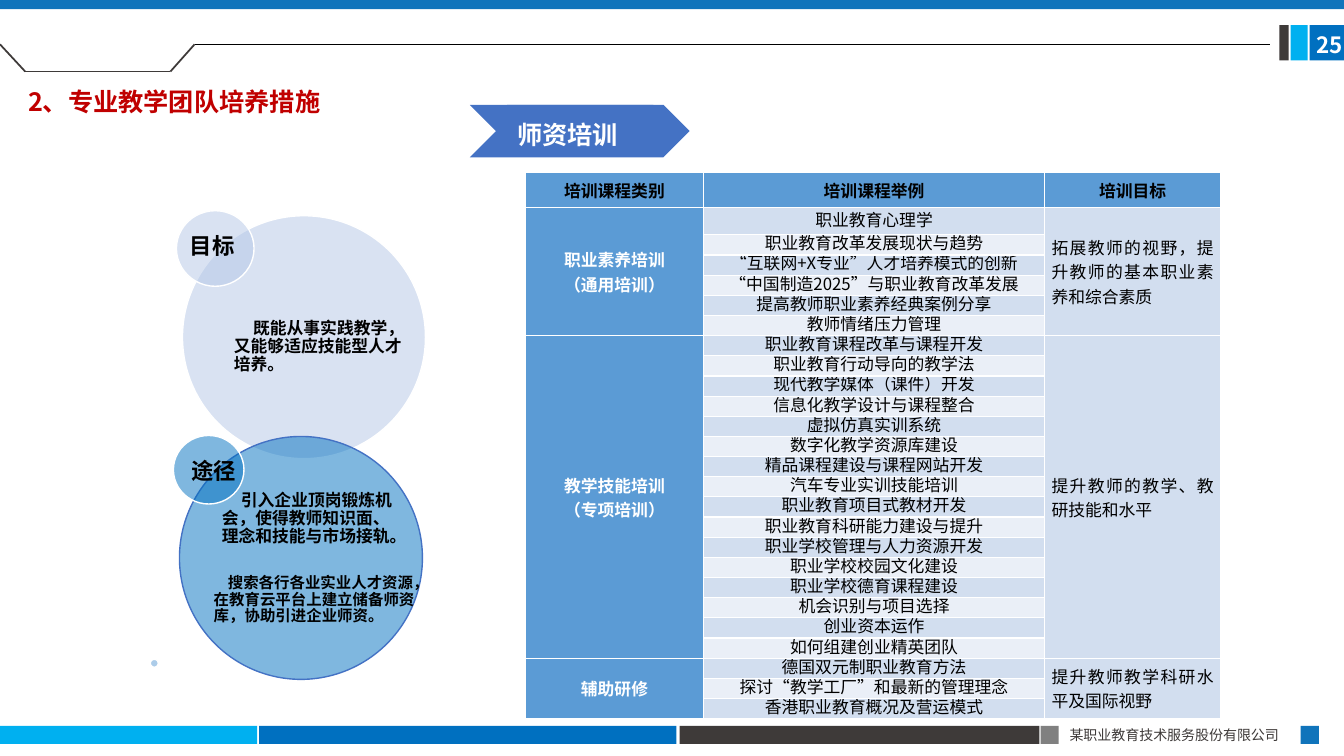
from lxml.etree import SubElement
from pptx import Presentation
from pptx.dml.color import RGBColor
from pptx.enum.shapes import MSO_CONNECTOR, MSO_SHAPE
from pptx.enum.text import MSO_ANCHOR, PP_ALIGN
from pptx.oxml.ns import qn
from pptx.util import Inches, Pt

FONT = "Noto Sans CJK SC"
COLORS = {
    "white": "FFFFFF", "black": "000000", "charcoal": "3E3A39", "gray": "808080",
    "sky": "00B0F0", "blue": "0070C0", "brand": "1074BB", "royal": "4472C4",
    "lavender": "B4C7E7", "header": "5B9BD5", "band": "D2DEEF", "light_band": "EAEFF7",
    "red": "C00000",
}


def add_filled_shape(kind, box, fill, line=None, alpha=None):
    shape = slide.shapes.add_shape(kind, *map(Inches, box))
    shape.shadow.inherit = False
    shape.fill.solid()
    shape.fill.fore_color.rgb = RGBColor.from_string(COLORS[fill])
    if alpha:
        color = shape.fill._xPr.find(qn("a:solidFill"))[0]
        SubElement(color, qn("a:alpha"), val=str(alpha * 1000))
    if line:
        shape.line.color.rgb = RGBColor.from_string(COLORS[line])
        shape.line.width = Pt(1)
    else:
        shape.line.fill.background()
    return shape


def write_text(frame, text, size, color, bold=True, align=PP_ALIGN.LEFT, spacing=None, indent=0):
    for number, line in enumerate(text.split("\n")):
        paragraph = frame.add_paragraph() if number else frame.paragraphs[0]
        paragraph.alignment = align
        if spacing:
            paragraph.line_spacing = spacing
        if indent:
            properties = paragraph._p.get_or_add_pPr()
            properties.set("marL", "0")
            properties.set("indent", str(Inches(indent)))
        run = paragraph.add_run()
        run.text = line
        for name, value in {"size": Pt(size), "bold": bold, "name": FONT}.items():
            setattr(run.font, name, value)
        run.font.color.rgb = RGBColor.from_string(COLORS[color])
        SubElement(run._r.get_or_add_rPr(), qn("a:ea"), typeface=FONT)


presentation = Presentation()
presentation.slide_width = Inches(13.33)
presentation.slide_height = Inches(7.5)
slide = presentation.slides.add_slide(presentation.slide_layouts[6])

# Footer, page-number and top bars
bars = [
    ((0, 7.2, 2.55, 0.18), "sky"),
    ((2.57, 7.2, 4.14, 0.18), "blue"),
    ((6.74, 7.2, 3.57, 0.18), "charcoal"),
    ((10.32, 7.2, 0.18, 0.18), "gray"),
    ((12.9, 7.2, 0.18, 0.18), "brand"),
    ((12.99, 0.25, 0.35, 0.35), "blue"),
    ((12.8, 0.25, 0.17, 0.35), "sky"),
    ((12.69, 0.25, 0.09, 0.35), "charcoal"),
    ((0, 0, 13.33, 0.09), "brand"),
]
for box, fill in bars:
    add_filled_shape(MSO_SHAPE.RECTANGLE, box, fill)

# Header outline
outline_points = [(0, 0.44), (0.25, 0.71), (1.69, 0.71), (1.93, 0.44), (12.6, 0.44)]
outline_styles = [("charcoal", 1.25)] * 3 + [("black", 0.5)]
for start, end, (color, width) in zip(outline_points, outline_points[1:], outline_styles):
    connector = slide.shapes.add_connector(MSO_CONNECTOR.STRAIGHT, *map(Inches, start + end))
    connector.line.color.rgb = RGBColor.from_string(COLORS[color])
    connector.line.width = Pt(width)
    SubElement(connector._element.spPr, qn("a:effectLst"))

# Training table
headings = ["培训课程类别", "培训课程举例", "培训目标"]
sections = [
    ("职业素养培训\n（通用培训）", "拓展教师的视野，提升教师的基本职业素养和综合素质", [
        "职业教育心理学", "职业教育改革发展现状与趋势",
        "“互联网+X专业”人才培养模式的创新", "“中国制造2025”与职业教育改革发展",
        "提高教师职业素养经典案例分享", "教师情绪压力管理"]),
    ("教学技能培训\n（专项培训）", "提升教师的教学、教研技能和水平", [
        "职业教育课程改革与课程开发", "职业教育行动导向的教学法",
        "现代教学媒体（课件）开发", "信息化教学设计与课程整合",
        "虚拟仿真实训系统", "数字化教学资源库建设",
        "精品课程建设与课程网站开发", "汽车专业实训技能培训",
        "职业教育项目式教材开发", "职业教育科研能力建设与提升",
        "职业学校管理与人力资源开发", "职业学校校园文化建设",
        "职业学校德育课程建设", "机会识别与项目选择",
        "创业资本运作", "如何组建创业精英团队"]),
    ("辅助研修", "提升教师教学科研水平及国际视野", [
        "德国双元制职业教育方法", "探讨“教学工厂”和最新的管理理念",
        "香港职业教育概况及营运模式"]),
]
row_heights = [0.35, 0.27] + [0.2] * 24
table = slide.shapes.add_table(
    len(row_heights), 3, Inches(5.21), Inches(1.71), Inches(6.9), Inches(5.42)).table
for column, width in zip(table.columns, [1.77, 3.38, 1.75]):
    column.width = Inches(width)
for row, height in zip(table.rows, row_heights):
    row.height = Inches(height)

cell_format = {
    "vertical_anchor": MSO_ANCHOR.MIDDLE, "margin_left": Inches(0.07),
    "margin_right": Inches(0.07), "margin_top": 0, "margin_bottom": 0,
}
for row_index in range(len(row_heights)):
    course_band = "band" if row_index % 2 else "light_band"
    fills = ["header", course_band, "band"] if row_index else ["header"] * 3
    for column_index, fill in enumerate(fills):
        cell = table.cell(row_index, column_index)
        for name, value in cell_format.items():
            setattr(cell, name, value)
        cell.fill.solid()
        cell.fill.fore_color.rgb = RGBColor.from_string(COLORS[fill])

for column_index, heading in enumerate(headings):
    write_text(table.cell(0, column_index).text_frame, heading, 12, "black", align=PP_ALIGN.CENTER)
first_row = 1
for category, goal, courses in sections:
    last_row = first_row + len(courses) - 1
    for column_index in (0, 2):
        table.cell(first_row, column_index).merge(table.cell(last_row, column_index))
    write_text(table.cell(first_row, 0).text_frame, category, 12, "white", align=PP_ALIGN.CENTER)
    write_text(table.cell(first_row, 2).text_frame, goal, 12, "black", False, PP_ALIGN.JUSTIFY)
    for row_index, course in enumerate(courses, first_row):
        write_text(table.cell(row_index, 1).text_frame, course, 12, "black", False,
                   PP_ALIGN.CENTER, Pt(14))
    first_row = last_row + 1

# Goal and approach circles
circles = [
    ((1.81, 2.14, 2.41, 2.41), "lavender", "white"),
    ((1.75, 2.09, 0.77, 0.75), "lavender", "white"),
    ((1.78, 4.33, 2.41, 2.41), "blue", "royal"),
    ((1.72, 4.32, 0.7, 0.68), "blue", "white"),
    ((1.49, 6.54, 0.08, 0.08), "header", "white"),
]
for box, fill, line in circles:
    add_filled_shape(MSO_SHAPE.OVAL, box, fill, line, alpha=50)

circle_texts = [
    ((1.76, 2.24, 0.69, 0.43), "目标", 16, PP_ALIGN.CENTER, 0),
    ((2.32, 2.63, 1.72, 1.62), "既能从事实践教学，又能够适应技能型人才培养。", 12, PP_ALIGN.LEFT, 0.19),
    ((1.9, 4.47, 0.52, 0.43), "途径", 16, PP_ALIGN.LEFT, 0),
    ((2.2, 4.92, 1.83, 0.46), "引入企业顶岗锻炼机会，使得教师知识面、理念和技能与市场接轨。",
     12, PP_ALIGN.LEFT, 0.19),
    ((2.12, 5.77, 2.1, 0.37), "搜索各行各业实业人才资源，在教育云平台上建立储备师资库，协助引进企业师资。",
     11, PP_ALIGN.LEFT, 0.14),
]
circle_frame_format = {
    "word_wrap": True, "vertical_anchor": MSO_ANCHOR.MIDDLE, "margin_left": 0,
    "margin_right": 0, "margin_top": Inches(0.02), "margin_bottom": Inches(0.02),
}
for box, text, size, align, indent in circle_texts:
    frame = slide.shapes.add_textbox(*map(Inches, box)).text_frame
    for name, value in circle_frame_format.items():
        setattr(frame, name, value)
    write_text(frame, text, size, "black", align=align, spacing=0.9, indent=indent)

# Training banner
add_filled_shape(MSO_SHAPE.CHEVRON, (4.66, 1.04, 2.18, 0.52), "royal")
banner = add_filled_shape(MSO_SHAPE.RECTANGLE, (5.03, 1.04, 1.45, 0.49), "royal")
banner.text_frame.vertical_anchor = MSO_ANCHOR.TOP
write_text(banner.text_frame, "师资培训", 18, "white", spacing=1.3)

# Title, page number and company name
labels = [
    ((-0.21, 0.66, 3.94, 0.5), "2、专业教学团队培养措施", 18, "red", True, PP_ALIGN.LEFT, 1.5, 0.39),
    ((12.96, 0.26, 0.5, 0.37), "25", 16, "white", True, PP_ALIGN.LEFT, None, 0),
    ((10.51, 7.16, 2.4, 0.27), "某职业教育技术服务股份有限公司", 10, "charcoal", False,
     PP_ALIGN.JUSTIFY, None, 0),
]
for box, *text_format in labels:
    frame = slide.shapes.add_textbox(*map(Inches, box)).text_frame
    frame.word_wrap = True
    write_text(frame, *text_format)

presentation.save("out.pptx")
